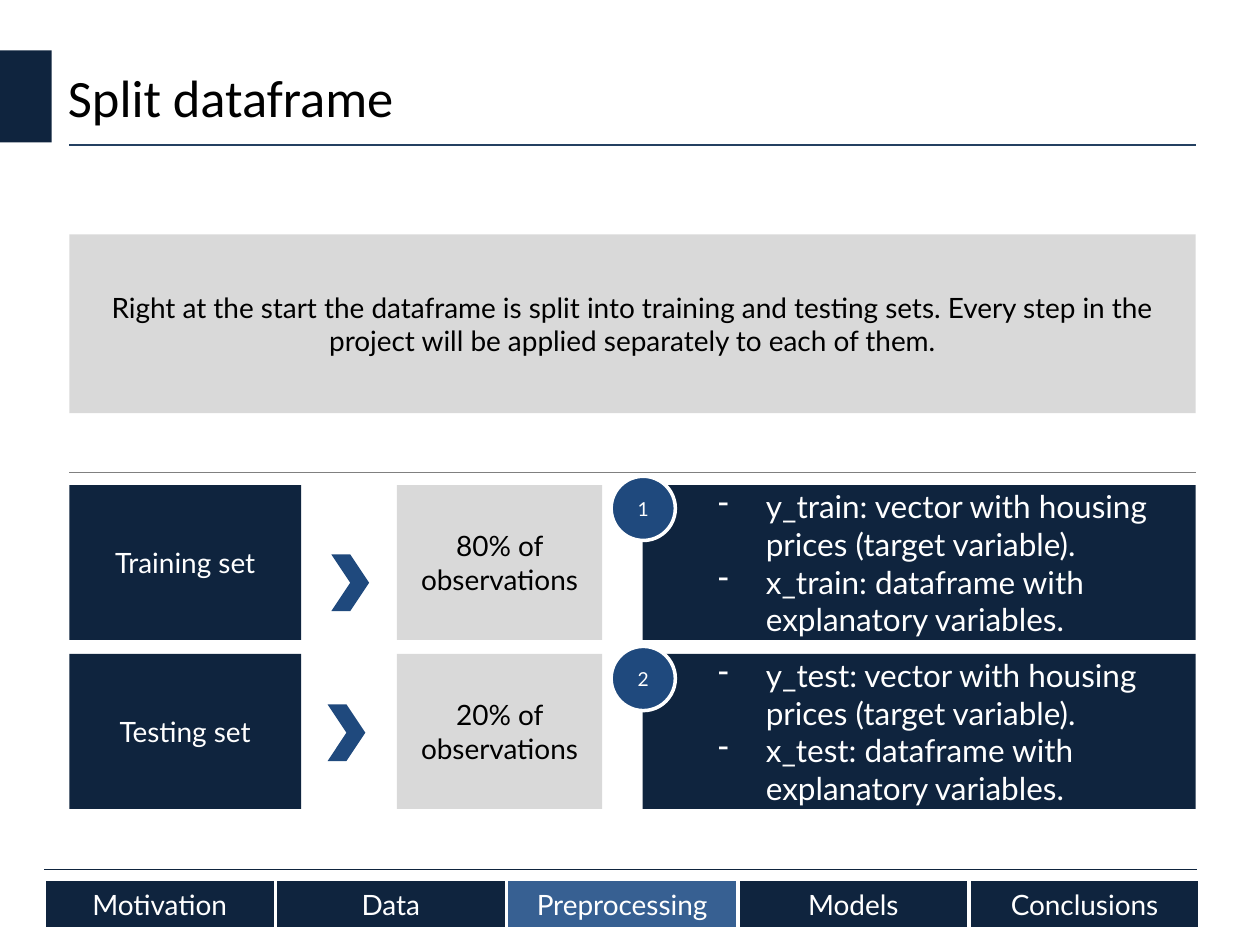
from dataclasses import dataclass

from lxml import etree
from pptx import Presentation
from pptx.dml.color import RGBColor
from pptx.enum import shapes, text
from pptx.oxml import ns
from pptx.util import Inches, Pt

NAVY, BLUE, ACTIVE = "0F243E", "1F497D", "376092"
GREY, WHITE, BLACK = "D9D9D9", "FFFFFF", "000000"
SHAPE = shapes.MSO_SHAPE
LEFT, RIGHT = 0.55, 9.49


@dataclass
class Area:
    left: float
    top: float
    width: float
    height: float

    def lengths(self) -> list:
        return [Inches(v) for v in (self.left, self.top, self.width, self.height)]


@dataclass
class SplitRow:
    top: float
    name: str
    share: str
    number: str
    badge_top: float
    chevron_left: float
    chevron_top: float
    variables: list[str]


ROWS = [
    SplitRow(3.85, "Training set", "80% of observations", "1", 3.78, 2.63, 4.4,
             ["y_train: vector with housing prices (target variable).",
              "x_train: dataframe with explanatory variables."]),
    SplitRow(5.19, "Testing set", "20% of observations", "2", 5.13, 2.6, 5.59,
             ["y_test: vector with housing prices (target variable).",
              "x_test: dataframe with explanatory variables."]),
]
SECTIONS = ["Motivation", "Data", "Preprocessing", "Models", "Conclusions"]
CURRENT = "Preprocessing"


def color(value: str) -> RGBColor:
    return RGBColor.from_string(value)


def write(box, content: str, size: float, ink: str, font: str = "Lato",
          align=text.PP_ALIGN.CENTER) -> None:
    frame = box.text_frame
    frame.word_wrap = True
    frame.vertical_anchor = text.MSO_ANCHOR.MIDDLE
    frame.text = content
    for para in frame.paragraphs:
        para.alignment = align
        for span in para.runs:
            span.font.name = font
            span.font.size = Pt(size)
            span.font.color.rgb = color(ink)


def add_box(page, area: Area, fill: str, content: str = "", size: float = 16,
            ink: str = WHITE, kind=SHAPE.RECTANGLE, outlined: bool = False):
    box = page.shapes.add_shape(kind, *area.lengths())
    box.shadow.inherit = False
    box.fill.solid()
    box.fill.fore_color.rgb = color(fill)
    if outlined:
        box.line.color.rgb = color(WHITE)
        box.line.width = Pt(2)
    else:
        box.line.fill.background()
    if content:
        write(box, content, size, ink)
    return box


def add_rule(page, left: float, right: float, y: float, ink: str, width: float) -> None:
    rule = page.shapes.add_connector(
        shapes.MSO_CONNECTOR.STRAIGHT, Inches(left), Inches(y), Inches(right), Inches(y))
    rule.line.color.rgb = color(ink)
    rule.line.width = Pt(width)
    etree.SubElement(rule._element.spPr, ns.qn("a:effectLst"))


def add_dashes(box) -> None:
    """Turn every paragraph of the box into a dashed, indented list item."""
    for para in box.text_frame.paragraphs:
        para.alignment = text.PP_ALIGN.LEFT
        para.level = 1
        props = para._p.get_or_add_pPr()
        props.set("marL", str(Inches(0.88)))
        props.set("indent", str(Inches(-0.38)))
        etree.SubElement(props, ns.qn("a:buChar")).set("char", "-")


def add_split_row(page, row: SplitRow) -> None:
    height = 1.23
    add_box(page, Area(LEFT, row.top, 1.84, height), NAVY, row.name)
    add_box(page, Area(3.15, row.top, 1.63, height), GREY, row.share, ink=BLACK)
    add_box(page, Area(row.chevron_left, row.chevron_top, 0.3, 0.45), BLUE,
            kind=SHAPE.CHEVRON)
    details = add_box(page, Area(5.1, row.top, 4.39, height), NAVY,
                      "\n".join(row.variables), size=18)
    add_dashes(details)
    add_box(page, Area(4.85, row.badge_top, 0.51, 0.51), BLUE, row.number,
            size=11, kind=SHAPE.OVAL, outlined=True)


def add_title(page, content: str) -> None:
    title = page.shapes.add_textbox(*Area(0.44, 0.4, 8.62, 0.73).lengths())
    write(title, content, 30, BLACK, "Calibri", text.PP_ALIGN.LEFT)
    add_box(page, Area(0, 0.4, 0.41, 0.73), NAVY)
    add_rule(page, LEFT, RIGHT, 1.15, "244061", 0.75)


def add_navigation(page) -> None:
    left, width = 0.35, 1.835
    add_rule(page, left, 9.5, 6.9, NAVY, 0.25)
    for index, section in enumerate(SECTIONS):
        add_box(page, Area(left + index * width, 6.98, width, 0.39),
                ACTIVE if section == CURRENT else NAVY, section, outlined=True)


def main() -> None:
    deck = Presentation()
    deck.slide_width, deck.slide_height = Inches(10), Inches(7.5)
    page = deck.slides.add_slide(deck.slide_layouts[6])
    add_box(page, Area(LEFT, 1.86, RIGHT - LEFT, 1.42), GREY,
            "Right at the start the dataframe is split into training and testing sets. "
            "Every step in the project will be applied separately to each of them.",
            ink=BLACK)
    add_rule(page, LEFT, RIGHT, 3.75, "808080", 0.25)
    for row in ROWS:
        add_split_row(page, row)
    add_title(page, "Split dataframe")
    add_navigation(page)
    deck.save("out.pptx")


if __name__ == "__main__":
    main()
